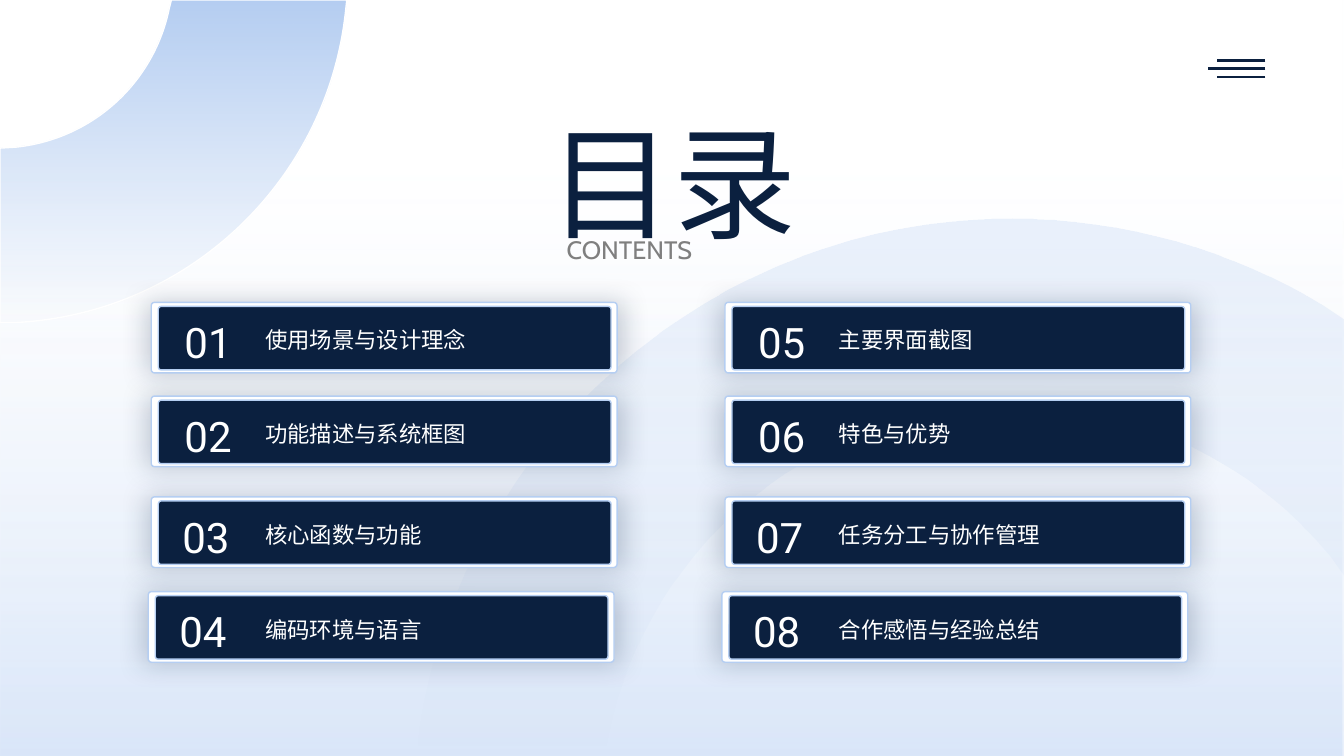
from dataclasses import dataclass

from lxml.etree import SubElement
from pptx import Presentation
from pptx.dml.color import RGBColor
from pptx.enum.shapes import MSO_CONNECTOR, MSO_SHAPE
from pptx.enum.text import MSO_ANCHOR, MSO_AUTO_SIZE, PP_ALIGN
from pptx.oxml.ns import qn
from pptx.util import Inches, Pt

NAVY, BLUE, WHITE, GRAY = "0B203F", "B5CEF2", "FFFFFF", "7F7F7F"

Point = tuple[float, float]
Curve = tuple[Point, ...]


@dataclass
class Stop:
    place: float
    color: str
    alpha: int


@dataclass
class Row:
    top: float
    shift: float
    inset: float
    labels: tuple[str, str]


@dataclass
class Style:
    size: float
    color: str
    font: str = "Roboto"
    space: float = 1.0
    align: PP_ALIGN = PP_ALIGN.LEFT
    middle: bool = False


NUMBER = Style(30, WHITE)
LABEL = Style(16, WHITE, space=1.2, middle=True)
TITLE = Style(88, NAVY, space=1.1, align=PP_ALIGN.CENTER)
SUB = Style(18, GRAY, "Cabin", 1.1, PP_ALIGN.JUSTIFY)

ROWS = [
    Row(3.0, 0, 0.33, ("使用场景与设计理念", "主要界面截图")),
    Row(3.93, 0, 0.33, ("功能描述与系统框图", "特色与优势")),
    Row(4.93, 0, 0.31, ("核心函数与功能", "任务分工与协作管理")),
    Row(5.87, -0.03, 0.31, ("编码环境与语言", "合作感悟与经验总结")),
]
COLUMNS = (1.5, 7.19)

ARCH: list[Curve] = [
    ((10.04, 2.17),),
    ((11.17, 2.17), (12.22, 2.49), (13.12, 3.03)),
    ((13.33, 3.17),),
    ((13.33, 5.71),),
    ((13.19, 5.52),),
    ((12.44, 4.61), (11.31, 4.03), (10.04, 4.03)),
    ((7.99, 4.03), (6.3, 5.53), (6, 7.49)),
    ((6, 7.5),),
    ((4.13, 7.5),),
    ((4.16, 7.21),),
    ((4.6, 4.36), (7.06, 2.17), (10.04, 2.17)),
]
RING: list[Curve] = [
    ((1.7, 0),),
    ((3.44, 0),),
    ((3.43, 0.09),),
    ((3.26, 1.78), (1.88, 3.11), (0.16, 3.2)),
    ((0, 3.2),),
    ((0, 1.47),),
    ((0.16, 1.46),),
    ((0.92, 1.38), (1.53, 0.82), (1.68, 0.08)),
]


def paint(code: str) -> RGBColor:
    return RGBColor.from_string(code)


def fade(shape, stops: tuple[Stop, Stop]) -> None:
    shape.shadow.inherit = False
    shape.line.fill.background()
    shape.fill.gradient()
    shape.fill.gradient_angle = 270
    for mark, stop in zip(shape.fill.gradient_stops, stops):
        mark.position = stop.place
        mark.color.rgb = paint(stop.color)
    for tint, stop in zip(shape._element.spPr.iter(qn("a:srgbClr")), stops):
        SubElement(tint, qn("a:alpha")).set("val", str(stop.alpha * 1000))


def bend(shape, curves: list[Curve]) -> None:
    edges = list(shape._element.spPr.iter(qn("a:lnTo")))
    for edge, curve in zip(edges, curves[1:]):
        if len(curve) == 1:
            continue
        edge.tag = qn("a:cubicBezTo")
        for spot, (x, y) in enumerate(curve[:-1]):
            node = SubElement(edge, qn("a:pt"), x=str(Inches(x) - shape.left),
                              y=str(Inches(y) - shape.top))
            edge.insert(spot, node)


def add_curve(slide, curves: list[Curve], stops: tuple[Stop, Stop]):
    points = [(Inches(x), Inches(y)) for x, y in (curve[-1] for curve in curves)]
    pen = slide.shapes.build_freeform(*points[0])
    pen.add_line_segments(points[1:], close=False)
    shape = pen.convert_to_shape()
    bend(shape, curves)
    SubElement(next(shape._element.spPr.iter(qn("a:path"))), qn("a:close"))
    fade(shape, stops)
    return shape


def add_panel(slide, left: float, top: float, width: float, height: float, color: str):
    panel = slide.shapes.add_shape(
        MSO_SHAPE.ROUNDED_RECTANGLE, Inches(left), Inches(top), Inches(width), Inches(height))
    panel.adjustments[0] = 0.046
    panel.fill.solid()
    panel.fill.fore_color.rgb = paint(color)
    panel.line.color.rgb = paint(BLUE)
    panel.line.width = Pt(1)
    panel.shadow.inherit = False
    return panel


def add_glow(panel) -> None:
    effects = panel._element.spPr.find(qn("a:effectLst"))
    glow = SubElement(effects, qn("a:outerShdw"), blurRad=str(Pt(19)), dist="0", dir="0",
                      sx="102000", sy="102000", algn="ctr", rotWithShape="0")
    tint = SubElement(glow, qn("a:srgbClr"), val=NAVY)
    SubElement(tint, qn("a:alpha"), val="22000")


def add_text(slide, left: float, top: float, width: float, height: float,
             text: str, style: Style) -> None:
    box = slide.shapes.add_textbox(Inches(left), Inches(top), Inches(width), Inches(height))
    frame = box.text_frame
    frame.margin_left = frame.margin_right = frame.margin_top = frame.margin_bottom = 0
    frame.word_wrap = True
    frame.auto_size = MSO_AUTO_SIZE.NONE if style.middle else MSO_AUTO_SIZE.SHAPE_TO_FIT_TEXT
    frame.vertical_anchor = MSO_ANCHOR.MIDDLE if style.middle else MSO_ANCHOR.TOP
    frame.text = text
    line = frame.paragraphs[0]
    line.alignment = style.align
    line.line_spacing = style.space
    font = line.runs[0].font
    font.size = Pt(style.size)
    font.name = style.font
    font.color.rgb = paint(style.color)


def add_bar(slide, left: float, top: float) -> None:
    bar = slide.shapes.add_connector(
        MSO_CONNECTOR.STRAIGHT, Inches(12.55), Inches(top), Inches(left), Inches(top))
    bar.line.color.rgb = paint(NAVY)
    bar.line.width = Pt(1.5)
    SubElement(bar._element.spPr, qn("a:effectLst"))


def add_card(slide, row: Row, column: int, number: int) -> None:
    base = COLUMNS[column]
    left = base + row.shift
    add_glow(add_panel(slide, left, row.top, 4.62, 0.7, WHITE))
    add_panel(slide, left + 0.07, row.top + 0.04, 4.49, 0.63, NAVY)
    add_text(slide, left + row.inset, row.top + 0.14, 0.94, 0.42, f"{number:02}", NUMBER)
    add_text(slide, base + 1.13, row.top + 0.04, 3.24, 0.61, row.labels[column], LABEL)


def main() -> None:
    deck = Presentation()
    deck.slide_width, deck.slide_height = Inches(13.33), Inches(7.5)
    slide = deck.slides.add_slide(deck.slide_layouts[6])

    wash = slide.shapes.add_shape(MSO_SHAPE.RECTANGLE, 0, 0, deck.slide_width, deck.slide_height)
    fade(wash, (Stop(0.22, "DAE6F9", 0), Stop(1, "A2C1EF", 40)))
    add_curve(slide, ARCH, (Stop(0, BLUE, 28), Stop(1, BLUE, 0)))
    ring = add_curve(slide, RING, (Stop(0, BLUE, 100), Stop(1, BLUE, 0)))
    ring.line.color.rgb = paint(WHITE)
    ring.line.width = Pt(1)

    add_text(slide, 5.32, 0.91, 2.71, 1.35, "目录", TITLE)
    add_text(slide, 5.62, 2.29, 2.21, 0.28, "CONTENTS", SUB)
    for index, left in enumerate((12.07, 11.98, 12.07)):
        add_bar(slide, left, 0.6 + 0.08 * index)
    for column in range(len(COLUMNS)):
        for index, row in enumerate(ROWS):
            add_card(slide, row, column, column * len(ROWS) + index + 1)

    deck.save("out.pptx")


if __name__ == "__main__":
    main()
